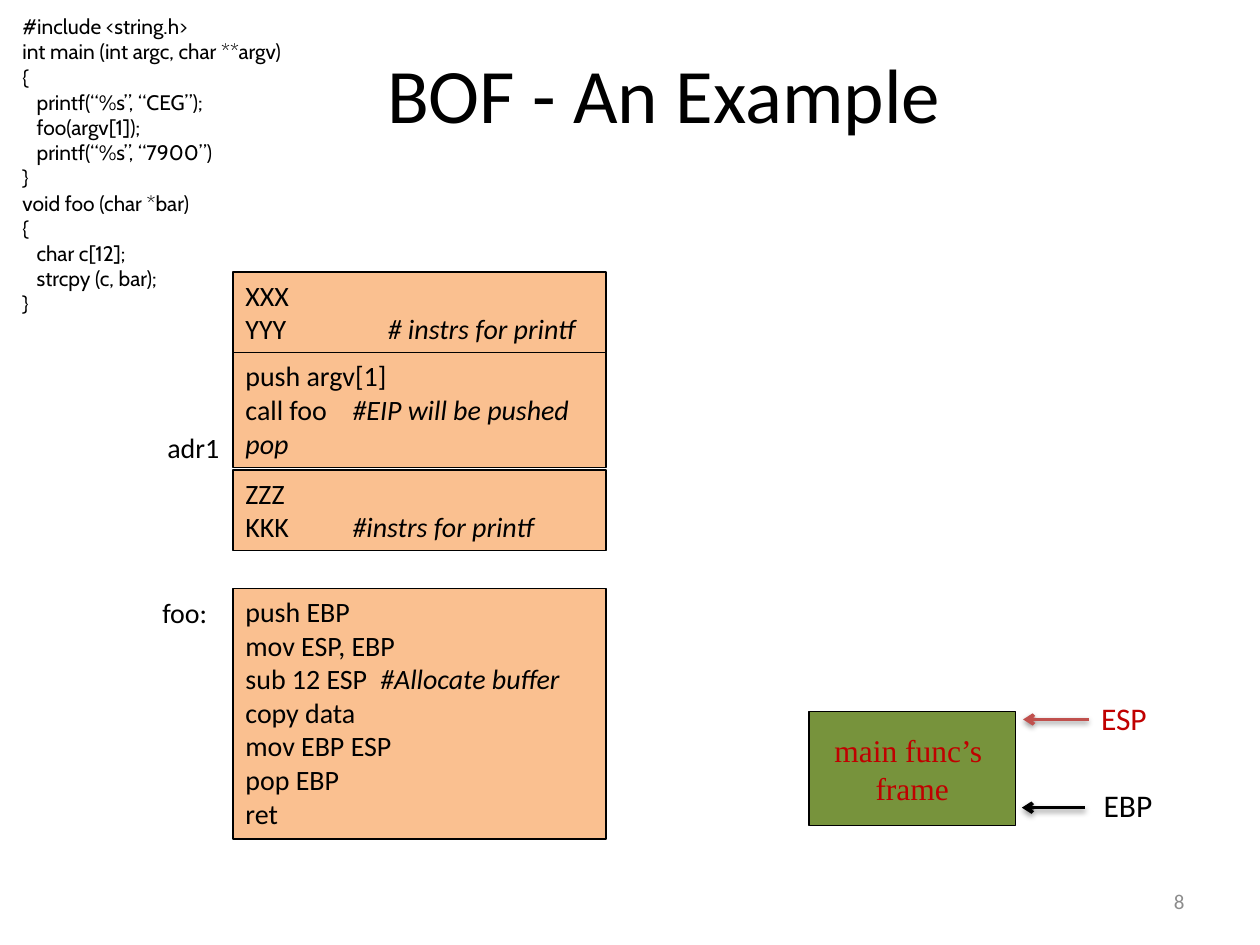
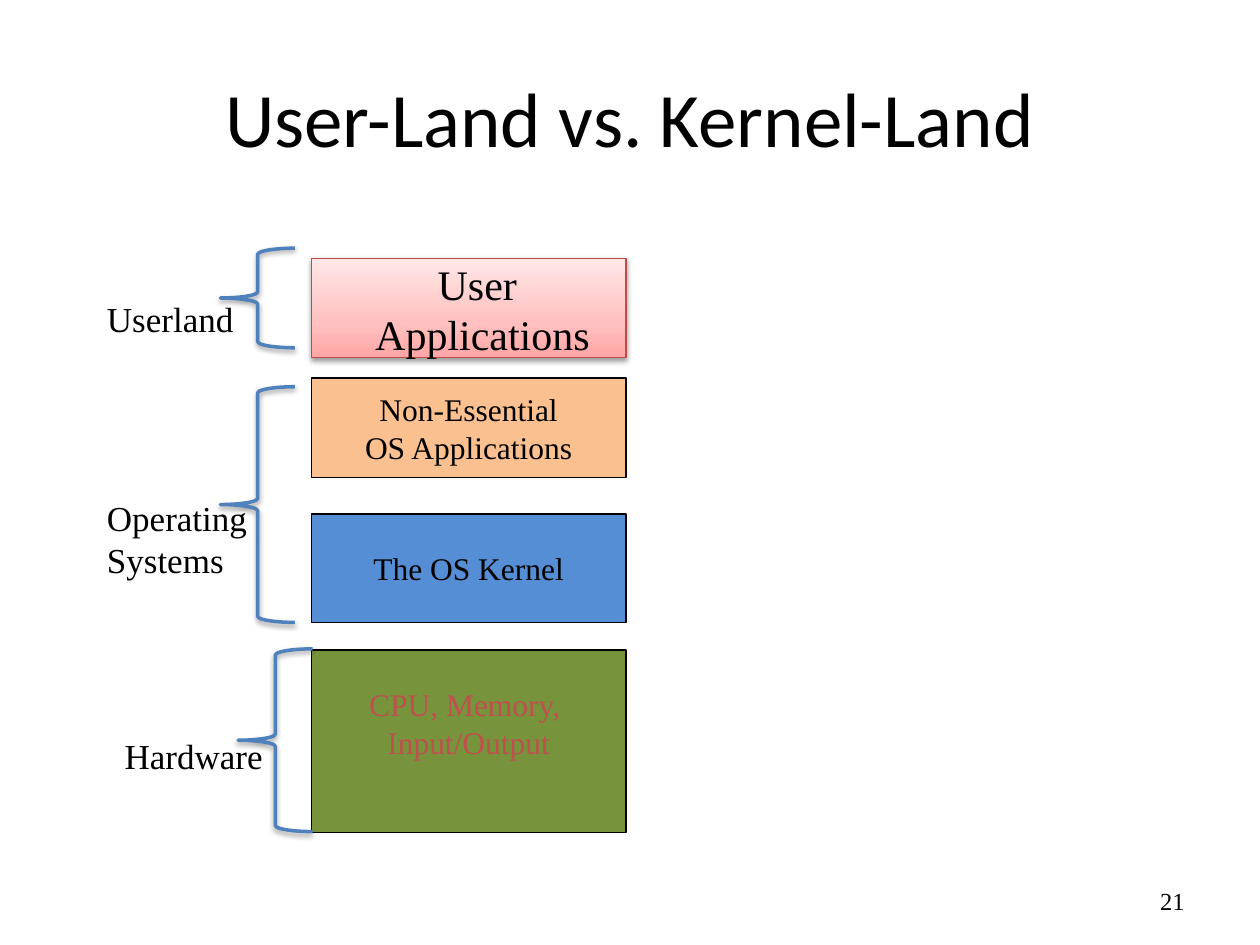
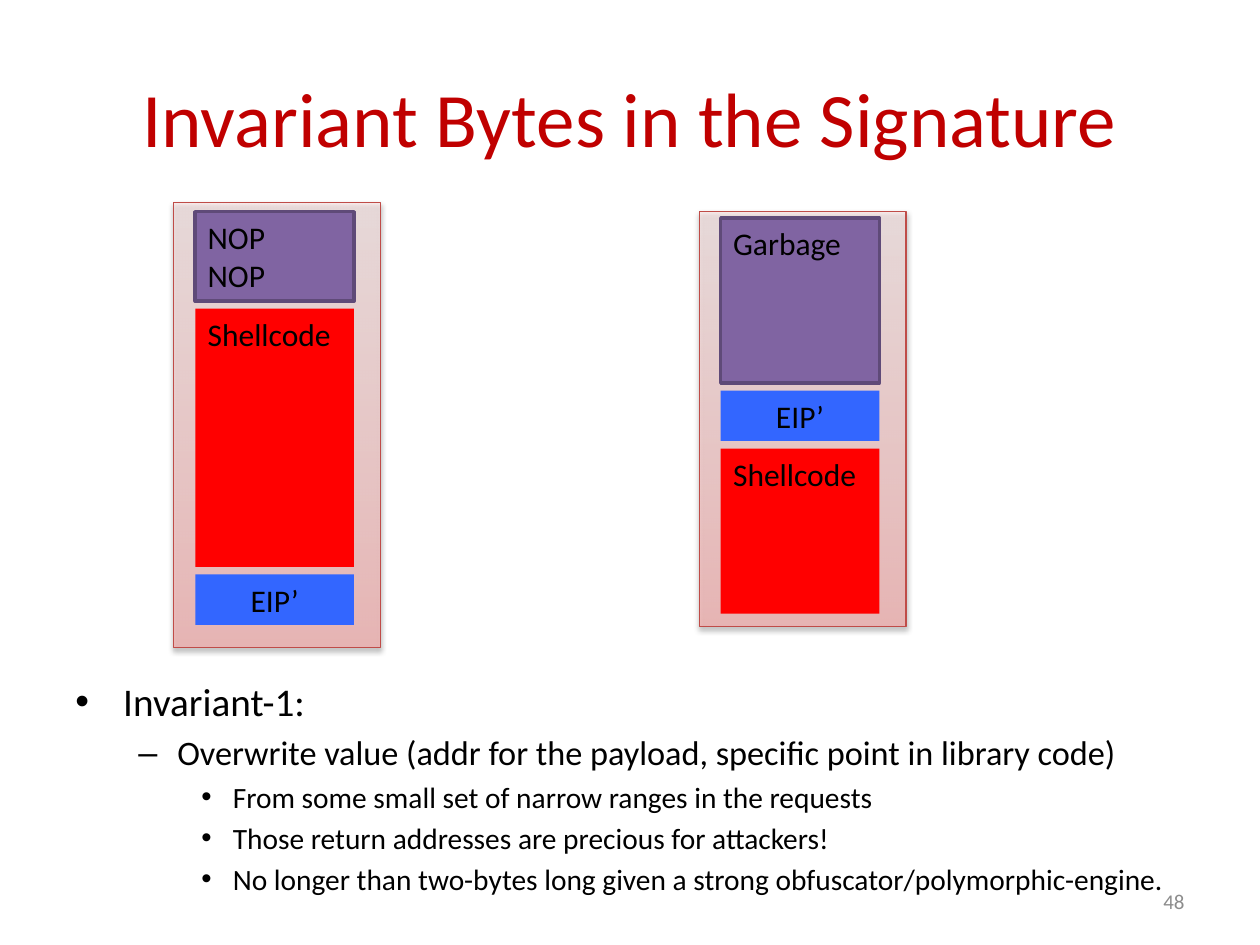
from lxml import etree
from pptx import Presentation
from pptx.dml.color import RGBColor
from pptx.enum.shapes import MSO_CONNECTOR, MSO_SHAPE
from pptx.enum.text import MSO_ANCHOR, PP_ALIGN
from pptx.oxml.ns import qn
from pptx.util import Inches, Pt

RECT, BRACE = MSO_SHAPE.RECTANGLE, MSO_SHAPE.LEFT_BRACE
STRAIGHT = MSO_CONNECTOR.STRAIGHT
TOP, MIDDLE = MSO_ANCHOR.TOP, MSO_ANCHOR.MIDDLE
LEFT, CENTER, RIGHT = PP_ALIGN.LEFT, PP_ALIGN.CENTER, PP_ALIGN.RIGHT


class Theme:
    black, grey, crimson, red = "000000", "8C8C8C", "C00000", "C0504D"
    peach, green, sky, blue = "FAC090", "77933C", "558ED5", "4F81BD"
    scarlet, royal, purple, plum = "FF0000", "3366FF", "8064A2", "5F4A78"
    pink_edge = "BF4C48"
    pink_stops = [(0, "FFA6A5"), (35, "FFC0BF"), (100, "FFE7E7")]
    title = {"name": "Calibri", "size": Pt(44)}
    source = {"name": "Cabin", "size": Pt(12)}
    asm = {"name": "Calibri", "size": Pt(16)}
    register = {"name": "Calibri", "size": Pt(18)}
    page = {"name": "Calibri", "size": Pt(12)}
    serif_page = {"name": "Times New Roman", "size": Pt(14)}
    serif = {"name": "Times New Roman", "size": Pt(18)}
    serif_label = {"name": "Times New Roman", "size": Pt(20)}
    serif_large = {"name": "Times New Roman", "size": Pt(24)}


def add_shadow(effects):
    shadow = etree.SubElement(effects, qn("a:outerShdw"), blurRad="40000", dist="20000",
                              dir="5400000", rotWithShape="0")
    color = etree.SubElement(shadow, qn("a:srgbClr"), val=Theme.black)
    etree.SubElement(color, qn("a:alpha"), val="38000")


def add_box(s, at, lines=(), style=Theme.asm, color=Theme.black, shape=None, fill=None,
            line=None, weight=0.75, align=LEFT, anchor=TOP, wrap=True, tab=None,
            opacity=100, shadow=False):
    """Add a text box or shape; text after "|" in a line is italic, at the tab stop."""
    at = [Inches(v) for v in at]
    if shape is None:
        sp = s.shapes.add_textbox(*at)
    else:
        sp = s.shapes.add_shape(shape, *at)
        sp.shadow.inherit = False
        if fill == Theme.pink_stops:
            sp.fill.gradient()
            sp.fill.gradient_angle = 90
            stops = sp._element.spPr.find(".//" + qn("a:gsLst"))
            stops.clear()
            for pos, rgb in fill:
                stop = etree.SubElement(stops, qn("a:gs"), pos=str(pos * 1000))
                clr = etree.SubElement(stop, qn("a:srgbClr"), val=rgb)
                etree.SubElement(clr, qn("a:alpha"), val=str(opacity * 1000))
        elif fill:
            sp.fill.solid()
            sp.fill.fore_color.rgb = RGBColor.from_string(fill)
        else:
            sp.fill.background()
        if line:
            sp.line.color.rgb = RGBColor.from_string(line)
            sp.line.width = Pt(weight)
        else:
            sp.line.fill.background()
        if shadow:
            add_shadow(sp._element.spPr.find(qn("a:effectLst")))
    tf = sp.text_frame
    tf.word_wrap, tf.vertical_anchor = wrap, anchor
    for i, text in enumerate(lines):
        p = tf.add_paragraph() if i else tf.paragraphs[0]
        p.alignment = align
        plain, _, note = text.partition("|")
        if plain and note:
            tabs = etree.SubElement(p._p.get_or_add_pPr(), qn("a:tabLst"))
            etree.SubElement(tabs, qn("a:tab"), pos=str(Inches(tab)), algn="l")
            plain += "\t"
        for part, italic in ((plain, False), (note, True)):
            if part:
                r = p.add_run()
                r.text = part
                for key, value in style.items():
                    setattr(r.font, key, value)
                r.font.italic = italic
                r.font.color.rgb = RGBColor.from_string(color)
    return sp


prs = Presentation()
prs.slide_width, prs.slide_height = Inches(10), Inches(7.5)

# Titles and page numbers
wide_title = (0.5, 0.3, 9, 1.25)
slides = []
for title, at, color, number, page_style, page_color in [
    ("BOF - An Example", (1.85, 0.11, 6.84, 1.25), Theme.black, "8", Theme.page, Theme.grey),
    ("User-Land vs. Kernel-Land", wide_title, Theme.black, "21", Theme.serif_page, Theme.black),
    ("Invariant Bytes in the Signature", wide_title, Theme.crimson, "48", Theme.page, Theme.grey),
]:
    s = prs.slides.add_slide(prs.slide_layouts[6])
    add_box(s, at, [title], Theme.title, color, align=CENTER, anchor=MIDDLE)
    add_box(s, (7.17, 6.95, 2.33, 0.4), [number], page_style, page_color,
            align=RIGHT, anchor=MIDDLE)
    slides.append(s)
overflow, layers, signature = slides

# Slide 1: source code, its assembly and the stack
source = """#include <string.h>
int main (int argc, char **argv)
{
   printf(“%s”, “CEG”);
   foo(argv[1]);
   printf(“%s”, “7900”)
}
void foo (char *bar)
{
   char c[12];
   strcpy (c, bar);
}"""
add_box(overflow, (0.08, 0.06, 2.92, 2.73), source.split("\n"), Theme.source)

for top, height, tab, lines in [
    (2.8, 0.91, 0.85, ["push argv[1]", "call foo|#EIP will be pushed", "|pop"]),
    (2.16, 0.64, 1.13, ["XXX", "YYY|# instrs for printf"]),
    (3.73, 0.64, 0.85, ["ZZZ", "KKK|#instrs for printf"]),
    (4.67, 1.99, 1.07, ["push EBP", "mov ESP, EBP", "sub 12 ESP|#Allocate buffer",
                        "copy data", "mov EBP ESP", "pop EBP", "ret"]),
]:
    add_box(overflow, (1.85, top, 2.96, height), lines, shape=RECT, fill=Theme.peach,
            line=Theme.black, tab=tab)

for text, at, style, color in [
    ("adr1", (1.23, 3.37, 0.62, 0.37), Theme.asm, Theme.black),
    ("foo:", (1.19, 4.68, 0.56, 0.37), Theme.asm, Theme.black),
    ("EBP", (8.66, 6.19, 0.59, 0.44), Theme.register, Theme.black),
    ("ESP", (8.64, 5.5, 0.57, 0.4), Theme.register, Theme.crimson),
]:
    add_box(overflow, at, [text], style, color, wrap=False)

for start, end, y, color in [(8.61, 8.11, 6.41, Theme.black), (8.64, 8.12, 5.71, Theme.red)]:
    arrow = overflow.shapes.add_connector(STRAIGHT, Inches(start), Inches(y),
                                          Inches(end), Inches(y))
    arrow.line.color.rgb = RGBColor.from_string(color)
    arrow.line.width = Pt(2)
    etree.SubElement(arrow.line._get_or_add_ln(), qn("a:tailEnd"), type="arrow")
    add_shadow(etree.SubElement(arrow._element.spPr, qn("a:effectLst")))

add_box(overflow, (6.42, 5.65, 1.64, 0.9), ["main func’s ", "frame"], Theme.serif,
        Theme.crimson, RECT, Theme.green, Theme.black, align=CENTER, anchor=MIDDLE, wrap=False)

# Slide 2: system layers with braces
for top, height, fill, color, lines in [
    (3, 0.79, Theme.peach, Theme.black, ["Non-Essential", "OS Applications"]),
    (4.08, 0.86, Theme.sky, Theme.black, ["The OS Kernel"]),
    (5.16, 1.45, Theme.green, Theme.red, ["CPU, Memory, ", "Input/Output"]),
]:
    layer = add_box(layers, (2.47, top, 2.5, height), lines, Theme.serif, color, RECT, fill,
                    Theme.black, align=CENTER, anchor=MIDDLE, wrap=False)
layer.text_frame.margin_bottom = Inches(0.35)

add_box(layers, (2.47, 2.05, 2.5, 0.79), shape=RECT, fill=Theme.pink_stops,
        line=Theme.pink_edge, shadow=True)
add_box(layers, (1.33, 2, 5, 0.91), ["User ", "Applications"], Theme.serif_large, align=CENTER)

for lines, label_at, brace_at in [
    (["Hardware"], (0.89, 5.78, 1.31, 0.44), (1.89, 5.15, 0.59, 1.45)),
    (["Operating", "Systems"], (0.75, 3.89, 1.39, 0.68), (1.75, 3.07, 0.59, 1.87)),
    (["Userland"], (0.75, 2.31, 1.21, 0.44), (1.75, 1.97, 0.59, 0.79)),
]:
    add_box(layers, label_at, lines, Theme.serif_label, wrap=False)
    add_box(layers, brace_at, shape=BRACE, line=Theme.blue, weight=2, shadow=True)

# Slide 3: two payload layouts and the invariant
padding = (Theme.purple, Theme.plum, LEFT)
shellcode = (Theme.scarlet, None, LEFT)
eip = (Theme.royal, None, CENTER)
for frame_at, y, blocks in [
    ((1.38, 1.61, 1.64, 3.53), 1.68, [(["NOP", "NOP"], 0.71, padding),
                                      (["Shellcode"], 2.05, shellcode), (["EIP’"], 0.4, eip)]),
    ((5.55, 1.68, 1.64, 3.29), 1.73, [(["Garbage"], 1.31, padding),
                                      (["EIP’"], 0.4, eip), (["Shellcode"], 1.31, shellcode)]),
]:
    add_box(signature, frame_at, shape=RECT, fill=Theme.pink_stops, line=Theme.pink_edge,
            opacity=56, shadow=True)
    for lines, height, (fill, line, align) in blocks:
        add_box(signature, (frame_at[0] + 0.17, y, 1.26, height), lines, Theme.register,
                shape=RECT, fill=fill, line=line, weight=2, align=align)
        y += height + 0.06

levels = [(22.4, 0.38, 0.38, "•"), (19.6, 0.81, 0.31, "–"), (16.8, 1.25, 0.25, "•")]
points = [
    (0, "Invariant-1:"),
    (1, "Overwrite value (addr for the payload, specific point in library code)"),
    (2, "From some small set of narrow ranges in the requests"),
    (2, "Those return addresses are precious for attackers!"),
    (2, "No longer than two-bytes long given a strong obfuscator/polymorphic-engine."),
]
body = add_box(signature, (0.5, 5.33, 9, 1.9), [text for _, text in points])
for i, (p, (level, _)) in enumerate(zip(body.text_frame.paragraphs, points)):
    size, margin, hanging, bullet = levels[level]
    pPr = p._p.get_or_add_pPr()
    pPr.set("marL", str(Inches(margin)))
    pPr.set("indent", str(-Inches(hanging)))
    etree.SubElement(pPr, qn("a:buFont"), typeface="Arial")
    etree.SubElement(pPr, qn("a:buChar"), char=bullet)
    p.level = level
    p.runs[0].font.size = Pt(size)
    if i:
        p.space_before = Pt(size * 0.2)

prs.save("out.pptx")
